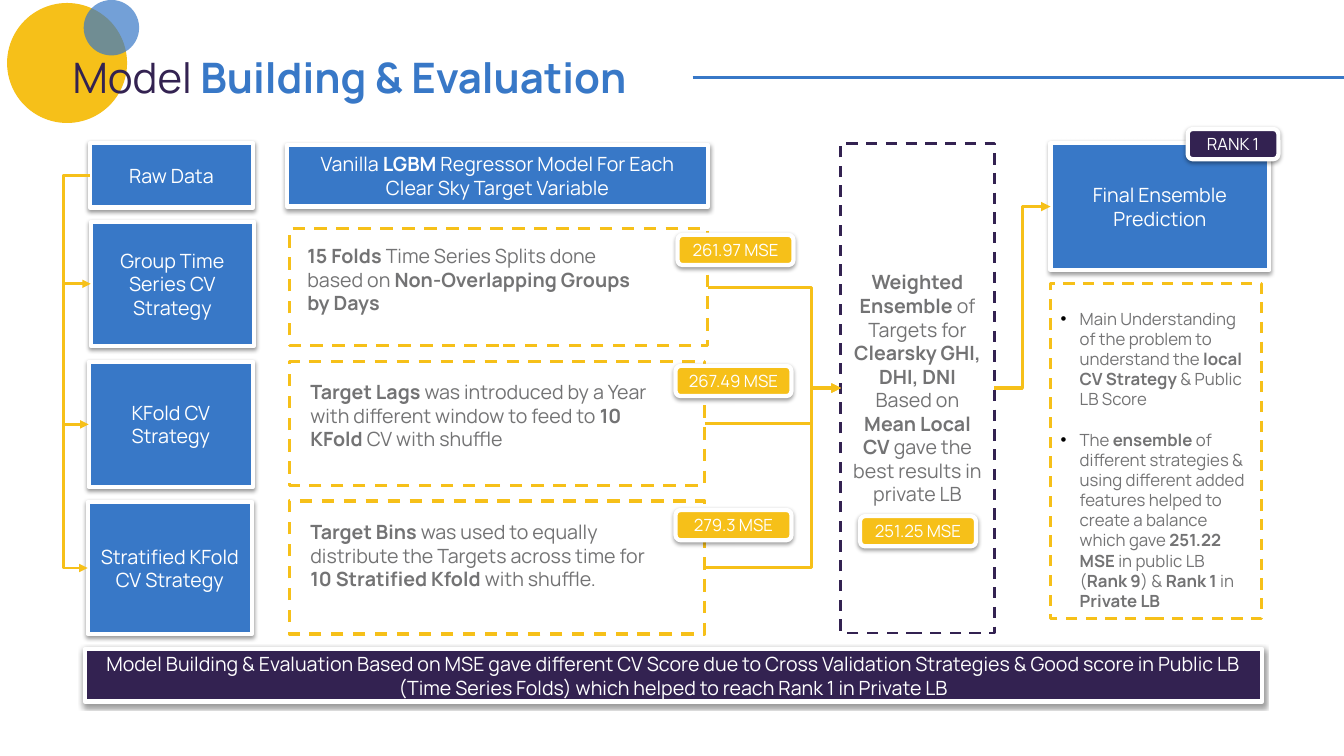
from lxml.etree import SubElement
from pptx import Presentation
from pptx.dml.color import RGBColor
from pptx.enum.dml import MSO_LINE
from pptx.enum.shapes import MSO_CONNECTOR, MSO_SHAPE
from pptx.enum.text import MSO_ANCHOR, MSO_AUTO_SIZE, PP_ALIGN
from pptx.oxml.ns import qn
from pptx.util import Pt

PX = 9144  # EMU in one px, 100 px to the inch
FONT = "Manrope"
HEX = {"blue": "3878C7", "gold": "F6C019", "navy": "332251",
       "gray": "737374", "white": "FFFFFF", "black": "000000"}

# Content: boxes are left, top, width, height; ** marks bold text
TITLE = "Model **Building & Evaluation**"
RAW = ("Raw Data", (89, 142, 162, 64))
MODEL = ("Vanilla **LGBM** Regressor Model For Each Clear Sky Target Variable",
         (285, 144, 417, 61))
FINAL = ("Final Ensemble\nPrediction", (1042, 142, 217, 126))
FOOT = ("Model Building & Evaluation Based on MSE gave different CV Score due to "
        "Cross Validation Strategies & Good score in Public LB (Time Series Folds) "
        "which helped to reach Rank 1 in Private LB", (84, 644, 1168, 52))
BLEND = ("**Weighted Ensemble** of Targets for **Clearsky GHI, DHI, DNI **Based on "
         "**Mean Local CV **gave the best results in private LB",
         (834, 142, 152, 486))
NOTES = ("Main Understanding of the problem to understand the "
         "**local CV Strategy **& Public LB Score\n"
         "The **ensemble** of different strategies & using different added features "
         "helped to create a balance which gave **251.22 MSE **in public LB "
         "(**Rank 9**) & **Rank 1 **in **Private LB**", (1042, 281, 209, 333))
PLANS = [  # strategy, its box, detail frame, detail, text corner, score, badge corner
    ("Group Time Series CV Strategy", (90, 220, 162, 123), (287, 227, 415, 116),
     "**15 Folds **Time Series Splits done based on "
     "**Non-Overlapping Groups by Days**", (295, 237), "261.97 MSE", (672, 233)),
    ("KFold CV Strategy", (88, 359, 163, 124), (287, 359, 412, 123),
     "**Target Lags **was introduced by a Year with different window to feed to"
     "** 10 KFold **CV with shuffle", (298, 372), "267.49 MSE", (670, 363)),
    ("Stratified KFold CV Strategy", (87, 498, 163, 131), (287, 497, 412, 132),
     "**Target Bins **was used to equally distribute the Targets across time for "
     "**10 Stratified Kfold** with shuffle.", (298, 511), "279.3 MSE", (670, 506)),
]
BEST = ("251.25 MSE", (853, 512, 115, 30))
RANK = ("RANK 1", (1178, 128, 90, 30))
LANE = {"raw": 63, "score": 805, "final": 1014}  # x of each connector's bend

deck = Presentation()
deck.slide_width, deck.slide_height = 1333 * PX, 750 * PX
page = deck.slides.add_slide(deck.slide_layouts[5])
shapes = page.shapes


def rgb(name):
    return RGBColor.from_string(HEX[name])


def scale(box):
    return [n * PX for n in box]


def write(shape, text, size=14, color="white", bold=None, align=PP_ALIGN.CENTER,
          anchor=MSO_ANCHOR.MIDDLE, bullet=False, gap=0):
    frame = shape.text_frame
    frame.word_wrap = True
    frame.auto_size = MSO_AUTO_SIZE.NONE
    frame.vertical_anchor = anchor
    for i, line in enumerate(text.split("\n")):
        para = frame.add_paragraph() if i else frame.paragraphs[0]
        if bullet:
            prop = para._p.get_or_add_pPr()
            prop.set("marL", str(19 * PX))
            prop.set("indent", str(-19 * PX))
            tint = SubElement(prop, qn("a:buClr"))
            SubElement(tint, qn("a:srgbClr"), val=HEX["black"])
            SubElement(prop, qn("a:buFont"), typeface="Arial")
            SubElement(prop, qn("a:buChar"), char="•")
        para.alignment = align
        para.space_before = Pt(gap if i else 0)
        for j, part in enumerate(line.split("**")):
            if part:
                run = para.add_run()
                run.text = part
                font = run.font
                font.name, font.size, font.bold = FONT, Pt(size), j % 2 == 1
                font.color.rgb = rgb(bold if bold and j % 2 else color)


def draw(box, fill=None, line=None, width=3, kind=MSO_SHAPE.RECTANGLE, dash=False):
    shape = shapes.add_shape(kind, *scale(box))
    shape.shadow.inherit = False
    if fill:
        shape.fill.solid()
        shape.fill.fore_color.rgb = rgb(fill)
    else:
        shape.fill.background()
    if line:
        shape.line.color.rgb = rgb(line)
        shape.line.width = Pt(width)
        if dash:
            shape.line.dash_style = MSO_LINE.DASH
    else:
        shape.line.fill.background()
    return shape


def card(text, box, fill="blue", size=14, kind=MSO_SHAPE.RECTANGLE):
    shape = draw(box, fill, "white", kind=kind)
    glow = shape._element.spPr.find(qn("a:effectLst"))
    drop = SubElement(glow, qn("a:outerShdw"), blurRad=str(Pt(3.1)),
                      dist=str(Pt(1.6)), dir="5400000", algn="t", rotWithShape="0")
    tone = SubElement(drop, qn("a:srgbClr"), val=HEX["black"])
    SubElement(tone, qn("a:alpha"), val="38000")
    write(shape, text, size)
    return shape


def badge(text, box, fill="gold"):
    card(text, box, fill, 12, MSO_SHAPE.ROUNDED_RECTANGLE)


def style(wire, color, width):
    wire.line.color.rgb = rgb(color)
    wire.line.width = Pt(width)
    SubElement(wire._element.spPr, qn("a:effectLst"))


def bend(start, side, end, lane, width=2.25):
    """Join two shapes by an elbow arrow that turns at x = lane."""
    wire = shapes.add_connector(MSO_CONNECTOR.ELBOW, 0, 0, 0, 0)
    wire.begin_connect(start, side)
    wire.end_connect(end, 1)
    turn = (lane * PX - wire.begin_x) / (wire.end_x - wire.begin_x)
    rules = wire._element.spPr.find(qn("a:prstGeom")).get_or_add_avLst()
    SubElement(rules, qn("a:gd"), name="adj1", fmla=f"val {round(turn * 100000)}")
    style(wire, "gold", width)
    SubElement(wire.line._get_or_add_ln(), qn("a:tailEnd"), type="triangle")


# Heading: rule, circles and title
rule = shapes.add_connector(MSO_CONNECTOR.STRAIGHT, *scale((687, 77, 1333, 77)))
style(rule, "blue", 2.25)
draw((7, 3, 119, 119), "gold", kind=MSO_SHAPE.OVAL)
title = shapes.title
title.left, title.top, title.width, title.height = scale((62, 46, 625, 61))
write(title, TITLE, 30, "navy", "blue", PP_ALIGN.LEFT, MSO_ANCHOR.TOP)
title.element.getparent().append(title.element)
dot = draw((83, 0, 55, 55), "blue", kind=MSO_SHAPE.OVAL)
tone = dot._element.spPr.find(qn("a:solidFill"))[0]
SubElement(tone, qn("a:alpha"), val="70000")

# Main boxes
raw = card(*RAW)
card(*MODEL)
final = card(*FINAL)
card(*FOOT, fill="navy")
blend = draw(BLEND[1], "white", "navy", 2, dash=True)
write(blend, BLEND[0], color="gray")
notes = draw(NOTES[1], "white", "gold", 2, dash=True)
write(notes, NOTES[0], 12, "gray", align=PP_ALIGN.LEFT, anchor=MSO_ANCHOR.TOP,
      bullet=True, gap=14.4)
notes.text_frame.margin_top = 25 * PX

# Strategies with details, arrows and scores
for name, box, area, text, spot, score, corner in PLANS:
    plan = card(name, box)
    frame = draw(area, None, "gold", 2.25, dash=True)
    bend(raw, 1, plan, LANE["raw"], 2)
    bend(frame, 3, blend, LANE["score"])
    note = shapes.add_textbox(*scale((*spot, 360, 81)))
    write(note, text, color="gray", align=PP_ALIGN.LEFT, anchor=MSO_ANCHOR.TOP)
    badge(score, (*corner, 115, 30))

# Result
bend(blend, 3, final, LANE["final"])
badge(*BEST)
badge(*RANK, fill="navy")

deck.save("out.pptx")
